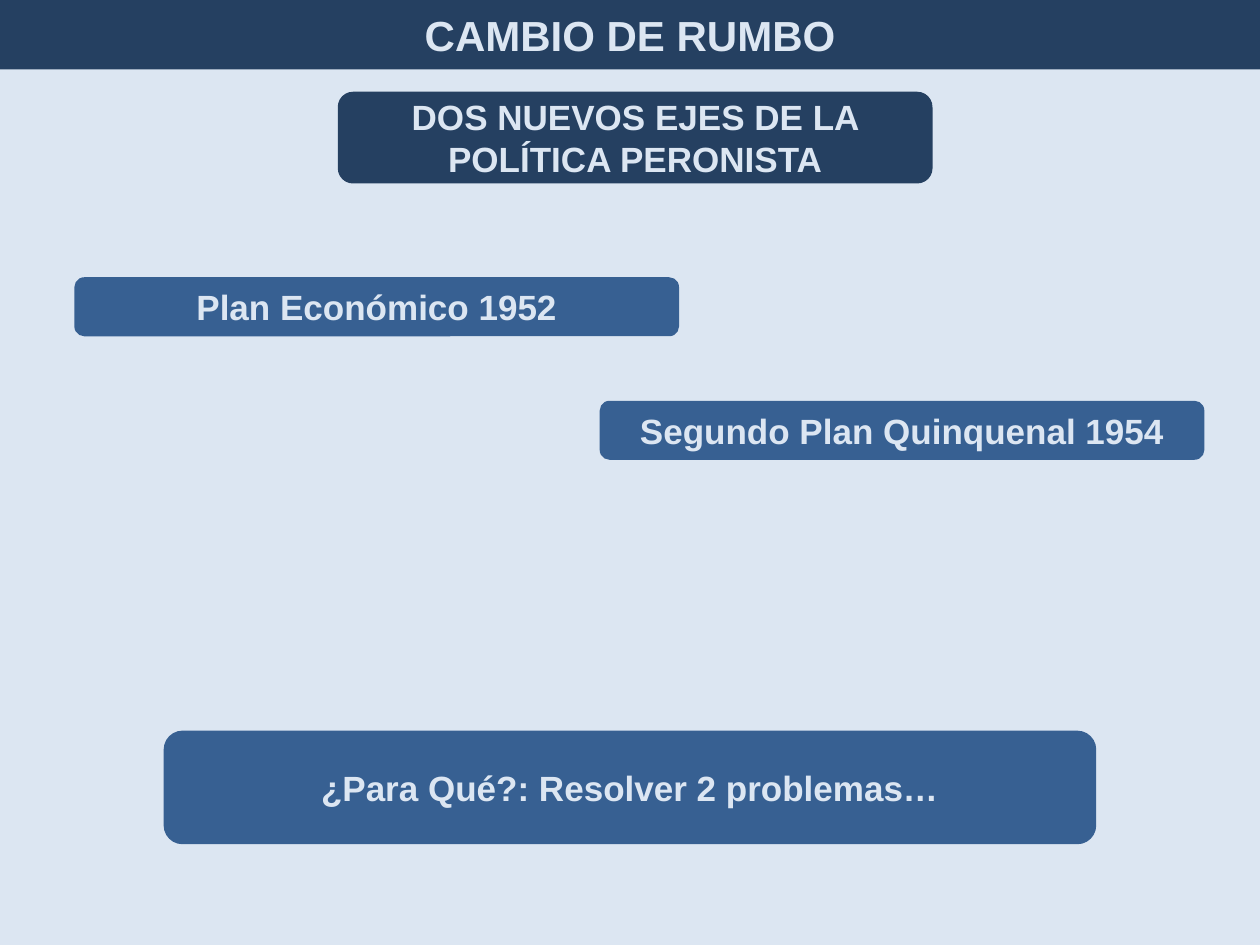
from pptx import Presentation
from pptx.dml.color import RGBColor
from pptx.enum.shapes import MSO_SHAPE
from pptx.enum.text import MSO_ANCHOR, PP_ALIGN
from pptx.util import Cm, Pt

PALE, NAVY, BLUE = "DCE6F2", "254061", "376092"
PLAN_SIZE = (12.19, 1.19)
BOXES = [
    ("DOS NUEVOS EJES DE LA POLÍTICA PERONISTA", (6.81, 1.85), (11.99, 1.85), NAVY),
    ("Plan Económico 1952", (1.5, 5.59), PLAN_SIZE, BLUE),
    ("Segundo Plan Quinquenal 1954", (12.09, 8.08), PLAN_SIZE, BLUE),
    ("¿Para Qué?: Resolver 2 problemas…", (3.3, 14.73), (18.8, 2.29), BLUE),
]


def paint(fill, color):
    """Give a fill one solid colour from a hex string."""
    fill.solid()
    fill.fore_color.rgb = RGBColor.from_string(color)


def set_text(sp, text, size):
    """Write centred bold text in the middle of a shape."""
    tf = sp.text_frame
    tf.word_wrap = True
    tf.vertical_anchor = MSO_ANCHOR.MIDDLE
    p = tf.paragraphs[0]
    p.alignment = PP_ALIGN.CENTER
    r = p.add_run()
    r.text = text
    for name, value in {"name": "Arial", "size": Pt(size), "bold": True}.items():
        setattr(r.font, name, value)
    paint(r.font.fill, PALE)


def add_title(s, text, width):
    """Turn the title placeholder into a band across the top."""
    sp = s.shapes.title
    place = {"left": Cm(0), "top": Cm(0), "width": width, "height": Cm(1.4)}
    for name, value in place.items():
        setattr(sp, name, value)
    paint(sp.fill, NAVY)
    set_text(sp, text, 24)


def add_box(s, text, pos, size, color):
    """Add a rounded box with a label."""
    sp = s.shapes.add_shape(MSO_SHAPE.ROUNDED_RECTANGLE, *map(Cm, pos + size))
    sp.shadow.inherit = False
    sp.line.fill.background()
    paint(sp.fill, color)
    set_text(sp, text, 20)


def main():
    """Build the slide and save it."""
    prs = Presentation()
    prs.slide_width, prs.slide_height = Cm(25.4), Cm(19.05)
    s = prs.slides.add_slide(prs.slide_layouts[5])
    paint(s.background.fill, PALE)
    add_title(s, "CAMBIO DE RUMBO", prs.slide_width)
    for box in BOXES:
        add_box(s, *box)
    prs.save("out.pptx")


if __name__ == "__main__":
    main()
